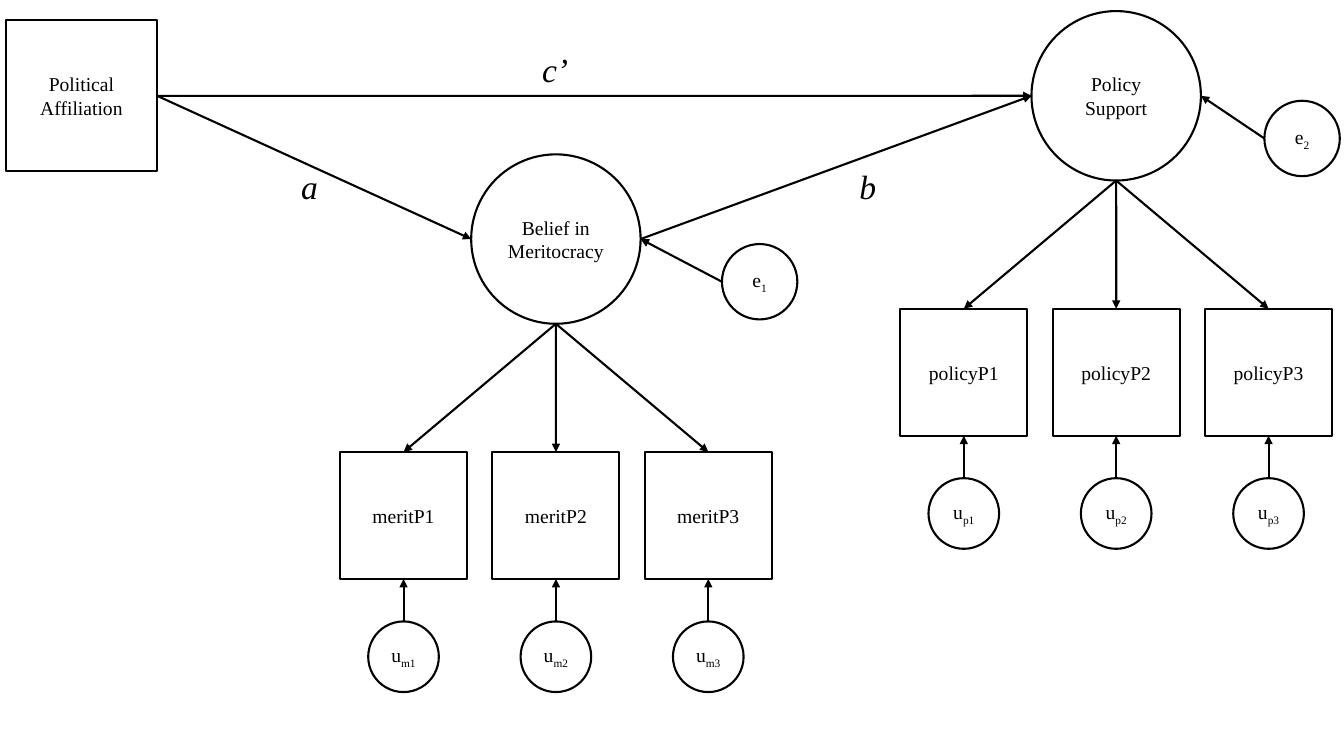
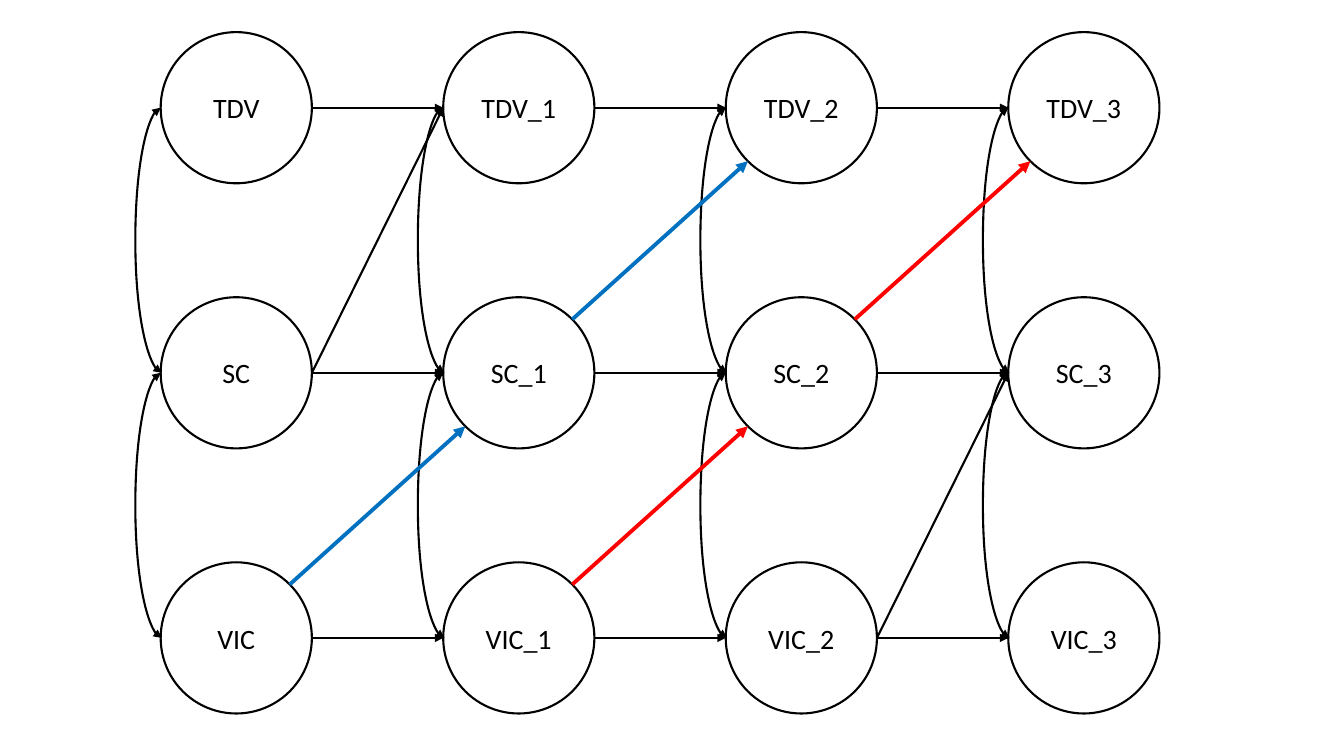
import math

import lxml.etree
import pptx
import pptx.dml.color
import pptx.enum.shapes
import pptx.enum.text
import pptx.oxml.ns
import pptx.util

Cm = pptx.util.Cm
qn = pptx.oxml.ns.qn
RECTANGLE = pptx.enum.shapes.MSO_SHAPE.RECTANGLE
OVAL = pptx.enum.shapes.MSO_SHAPE.OVAL
STRAIGHT = pptx.enum.shapes.MSO_CONNECTOR.STRAIGHT
CURVE = pptx.enum.shapes.MSO_CONNECTOR.CURVE

COLOURS = {"paper": "FFFFFF", "ink": "000000", "blue": "0070C0", "red": "FF0000"}
SERIF = "Times New Roman"
SANS = "Calibri"
LINE_WIDTH = 1.5
BOLD_LINE_WIDTH = 2.75
TOP, LEFT, BOTTOM, RIGHT = range(4)


def colour(name):
    return pptx.dml.color.RGBColor.from_string(COLOURS[name])


def format_run(run, font_name, size, italic=False):
    run.font.name = font_name
    run.font.size = pptx.util.Pt(size)
    run.font.italic = italic
    run.font.color.rgb = colour("ink")


def add_node(slide, kind, left, top, size, text, font_name, font_size, subscript=""):
    shape = slide.shapes.add_shape(kind, Cm(left), Cm(top), Cm(size), Cm(size))
    shape.shadow.inherit = False
    shape.fill.solid()
    shape.fill.fore_color.rgb = colour("paper")
    shape.line.color.rgb = colour("ink")
    shape.line.width = pptx.util.Pt(LINE_WIDTH)
    text_frame = shape.text_frame
    text_frame.text = text
    text_frame.word_wrap = True
    text_frame.vertical_anchor = pptx.enum.text.MSO_ANCHOR.MIDDLE
    paragraph = text_frame.paragraphs[0]
    paragraph.alignment = pptx.enum.text.PP_ALIGN.CENTER
    if subscript:
        text_frame.margin_left = text_frame.margin_right = 0
        run = paragraph.add_run()
        run.text = subscript
        run.font._element.set("baseline", "-25000")
    for run in paragraph.runs:
        format_run(run, font_name, font_size)
    return shape


def format_connector(connector, line_colour="ink", width=LINE_WIDTH, ends=("tailEnd",)):
    connector.line.color.rgb = colour(line_colour)
    connector.line.width = pptx.util.Pt(width)
    properties = connector._element.spPr
    for end in ends:
        lxml.etree.SubElement(properties.find(qn("a:ln")), qn("a:" + end), type="triangle")
    lxml.etree.SubElement(properties, qn("a:effectLst"))


def join(connector, shape, side, begins):
    attach = connector.begin_connect if begins else connector.end_connect
    attach(shape, side)
    if shape.auto_shape_type == OVAL:
        tag = "a:stCxn" if begins else "a:endCxn"
        connection = next(connector._element.iter(qn(tag)))
        connection.set("idx", str(2 * side))


def add_arrow(slide, source, source_side, target, target_side):
    connector = slide.shapes.add_connector(STRAIGHT, 0, 0, 0, 0)
    join(connector, source, source_side, True)
    join(connector, target, target_side, False)
    format_connector(connector)


def add_diagonal_arrow(slide, source, target, line_colour):
    reach = math.sqrt(0.5) / 2
    connector = slide.shapes.add_connector(
        STRAIGHT,
        int(source.left + source.width * (0.5 + reach)),
        int(source.top + source.height * (0.5 - reach)),
        int(target.left + target.width * (0.5 - reach)),
        int(target.top + target.height * (0.5 + reach)),
    )
    format_connector(connector, line_colour, BOLD_LINE_WIDTH)


def add_covariance(slide, upper, lower):
    width, bulge = Cm(0.03), Cm(0.64)
    connector = slide.shapes.add_connector(
        CURVE,
        upper.left,
        upper.top + upper.height // 2,
        upper.left + width,
        lower.top + lower.height // 2,
    )
    format_connector(connector, ends=("headEnd", "tailEnd"))
    geometry = connector._element.spPr.find(qn("a:prstGeom"))
    adjustments = geometry.find(qn("a:avLst"))
    if adjustments is None:
        adjustments = lxml.etree.SubElement(geometry, qn("a:avLst"))
    ratio = round(-100000 * bulge / width)
    lxml.etree.SubElement(adjustments, qn("a:gd"), name="adj1", fmla=f"val {ratio}")


def add_path_label(slide, left, top, text):
    box = slide.shapes.add_textbox(Cm(left), Cm(top), Cm(1.17), Cm(1.27))
    box.text_frame.word_wrap = True
    box.text_frame.text = text
    format_run(box.text_frame.paragraphs[0].runs[0], SERIF, 24, italic=True)


def add_factor(slide, left, top, name, prefix, number, disturbance_gap):
    indicator_size, pitch, latent_size, error_size = 3.2, 3.84, 4.27, 1.78
    centre = left + pitch + indicator_size / 2
    latent_left = centre - latent_size / 2
    latent = add_node(slide, OVAL, latent_left, top, latent_size, name, SERIF, 14)
    for index in range(3):
        indicator_left = left + index * pitch
        error_left = indicator_left + (indicator_size - error_size) / 2
        indicator = add_node(slide, RECTANGLE, indicator_left, top + 7.5, indicator_size,
                             f"{prefix}P{index + 1}", SERIF, 14)
        error = add_node(slide, OVAL, error_left, top + 11.77, error_size,
                         "u", SERIF, 14, f"{prefix[0]}{index + 1}")
        add_arrow(slide, latent, BOTTOM, indicator, TOP)
        add_arrow(slide, error, TOP, indicator, BOTTOM)
    disturbance = add_node(slide, OVAL, latent_left + latent_size + disturbance_gap,
                           top + 2.26, 1.9, "e", SERIF, 14, str(number))
    add_arrow(slide, disturbance, LEFT, latent, RIGHT)
    return latent


def build_mediation_slide(slide):
    affiliation = add_node(slide, RECTANGLE, 0.15, 0.51, 3.81,
                           "Political Affiliation", SERIF, 14)
    belief = add_factor(slide, 8.57, 3.89, "Belief in Meritocracy", "merit", 1, 2.05)
    support = add_factor(slide, 22.69, 0.28, "Policy Support", "policy", 2, 1.6)
    add_arrow(slide, affiliation, RIGHT, support, LEFT)
    add_arrow(slide, affiliation, RIGHT, belief, LEFT)
    add_arrow(slide, belief, RIGHT, support, LEFT)
    for left, top, text in [(7.34, 4.06, "a"), (13.41, 1.12, "c’"), (21.41, 4.06, "b")]:
        add_path_label(slide, left, top, text)


def build_panel_slide(slide, left, top):
    size, column_pitch, row_pitch = 3.81, 7.12, 6.68
    suffixes = ["", "_1", "_2", "_3"]
    rows = [
        [
            add_node(slide, OVAL, left + column * column_pitch, top + row * row_pitch,
                     size, variable + suffix, SANS, 20)
            for column, suffix in enumerate(suffixes)
        ]
        for row, variable in enumerate(["TDV", "SC", "VIC"])
    ]
    for upper_row, lower_row in zip(rows, rows[1:]):
        for upper, lower in zip(upper_row, lower_row):
            add_covariance(slide, upper, lower)
    for row in rows:
        for earlier, later in zip(row, row[1:]):
            add_arrow(slide, earlier, RIGHT, later, LEFT)
    tdv, sc, vic = rows
    add_arrow(slide, sc[0], RIGHT, tdv[1], LEFT)
    add_arrow(slide, vic[2], RIGHT, sc[3], LEFT)
    for start, line_colour in enumerate(["blue", "red"]):
        add_diagonal_arrow(slide, vic[start], sc[start + 1], line_colour)
        add_diagonal_arrow(slide, sc[start + 1], tdv[start + 2], line_colour)


def main():
    presentation = pptx.Presentation()
    presentation.slide_width = Cm(33.87)
    presentation.slide_height = Cm(19.05)
    blank_layout = presentation.slide_layouts[6]
    build_mediation_slide(presentation.slides.add_slide(blank_layout))
    build_panel_slide(presentation.slides.add_slide(blank_layout), 4.05, 0.81)
    presentation.save("out.pptx")


if __name__ == "__main__":
    main()
